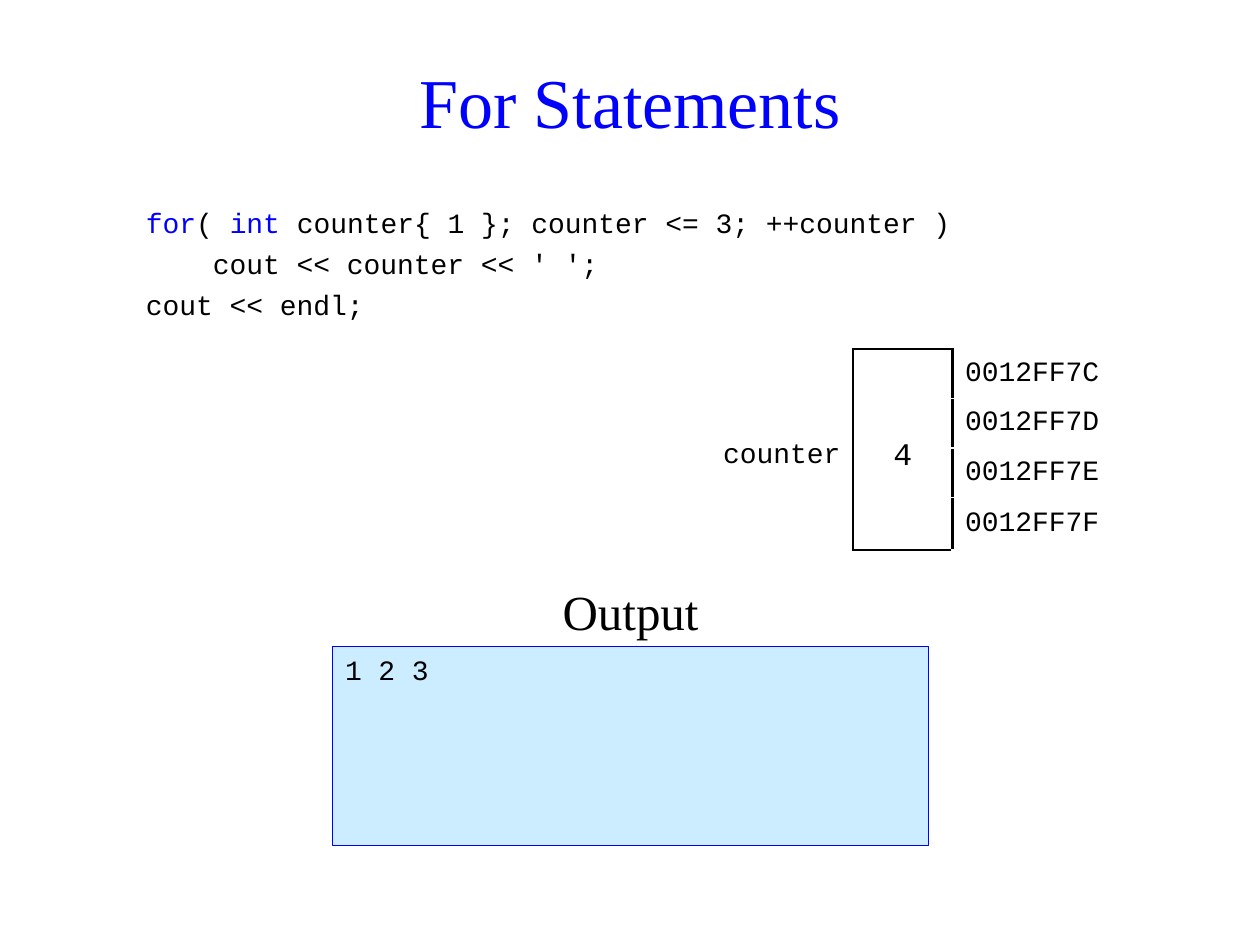
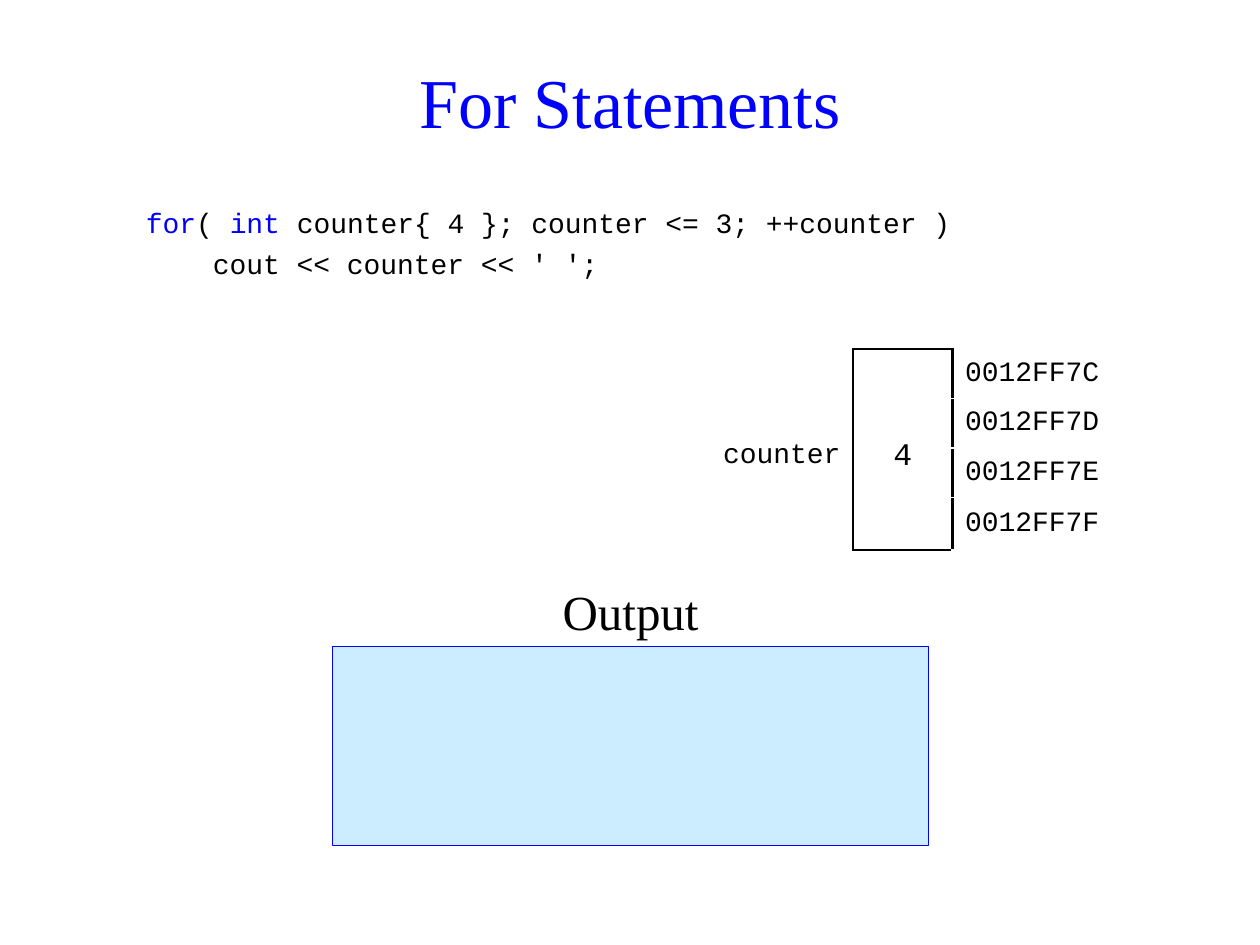
from collections import namedtuple
from dataclasses import dataclass

from lxml import etree
from pptx import Presentation
from pptx import util as u
from pptx.dml.color import RGBColor
from pptx.enum import shapes, text
from pptx.oxml import ns

Box = namedtuple("Box", "left top width height")


@dataclass(frozen=True)
class Theme:
    blue: RGBColor = RGBColor.from_string("0000FF")
    black: RGBColor = RGBColor.from_string("000000")
    pale: RGBColor = RGBColor.from_string("CCECFF")
    serif: str = "Times New Roman"
    mono: str = "Courier New"
    title_size: int = 40
    heading_size: int = 28
    value_size: int = 18
    code_size: int = 16
    code_gap: float = 4.4
    thin: float = 0.75
    thick: float = 1.5


THEME = Theme()
TITLE_BOX = Box(1.06, 0.4, 7.88, 0.79)
CODE_BOX = Box(1.06, 1.58, 6.69, 1.18)
MEMORY_BOX = Box(5.59, 2.77, 3.35, 1.57)
OUTPUT_BOX = Box(2.64, 4.54, 4.73, 2.17)
HEADING_WIDTH, HEADING_HEIGHT = 1.57, 0.59
MEMORY_COLUMNS = (1.18, 0.79, 1.38)
ADDRESSES = ("0012FF7C", "0012FF7D", "0012FF7E", "0012FF7F")
KEYWORDS = ("for", "int")


def inches(box):
    return [u.Inches(length) for length in box]


def style_font(font, name, size, color):
    font.name = name
    font.size = u.Pt(size)
    font.color.rgb = color


def add_label(slide, box, words, size, color, anchor, wrap):
    frame = slide.shapes.add_textbox(*inches(box)).text_frame
    frame.word_wrap = wrap
    frame.vertical_anchor = anchor
    frame.text = words
    line = frame.paragraphs[0]
    line.alignment = text.PP_ALIGN.CENTER
    style_font(line.runs[0].font, THEME.serif, size, color)


def add_title(slide, box, words):
    add_label(slide, box, words, THEME.title_size, THEME.blue,
              text.MSO_ANCHOR.MIDDLE, True)


def add_code(slide, box, lines):
    frame = slide.shapes.add_textbox(*inches(box)).text_frame
    frame.word_wrap = True
    for index, pieces in enumerate(lines):
        line = frame.add_paragraph() if index else frame.paragraphs[0]
        if index:
            line.space_before = u.Pt(THEME.code_gap)
        for piece in pieces:
            run = line.add_run()
            run.text = piece
            color = THEME.blue if piece in KEYWORDS else THEME.black
            style_font(run.font, THEME.mono, THEME.code_size, color)


def set_borders(cell, edges):
    properties = cell._tc.get_or_add_tcPr()
    for edge in edges:
        border = etree.SubElement(properties, ns.qn(f"a:ln{edge}"),
                                  w=str(u.Pt(THEME.thick)))
        fill = etree.SubElement(border, ns.qn("a:solidFill"))
        etree.SubElement(fill, ns.qn("a:srgbClr"), val=str(THEME.black))


def write_cell(cell, words, size, alignment, spacing, inset):
    cell.vertical_anchor = text.MSO_ANCHOR.MIDDLE
    cell.margin_top = cell.margin_bottom = u.Inches(inset)
    cell.text = words
    line = cell.text_frame.paragraphs[0]
    line.alignment = alignment
    line.line_spacing = spacing
    style_font(line.runs[0].font, THEME.mono, size, THEME.black)


def add_memory(slide, box, variable, value):
    count = len(ADDRESSES)
    table = slide.shapes.add_table(count, len(MEMORY_COLUMNS), *inches(box)).table
    table.first_row = table.horz_banding = False
    for column, width in zip(table.columns, MEMORY_COLUMNS):
        column.width = u.Inches(width)
    for index, address in enumerate(ADDRESSES):
        table.rows[index].height = u.Inches(box.height / count)
        name_cell, value_cell, address_cell = table.rows[index].cells
        set_borders(name_cell, "R")
        set_borders(value_cell, {0: "LRTB", count - 1: "LRB"}.get(index, "LR"))
        set_borders(address_cell, "L")
        for cell in (name_cell, value_cell, address_cell):
            cell.fill.background()
        write_cell(address_cell, address, THEME.code_size,
                   text.PP_ALIGN.LEFT, 1.0, 0.04)
    for column in (0, 1):
        table.cell(0, column).merge(table.cell(count - 1, column))
    write_cell(table.cell(0, 0), variable, THEME.code_size,
               text.PP_ALIGN.RIGHT, 1.4, 0)
    write_cell(table.cell(0, 1), value, THEME.value_size,
               text.PP_ALIGN.CENTER, 1.4, 0)


def add_output(slide, box, printed):
    heading_left = box.left + (box.width - HEADING_WIDTH) / 2
    screen_box = Box(box.left, box.top + HEADING_HEIGHT,
                     box.width, box.height - HEADING_HEIGHT)
    screen = slide.shapes.add_shape(shapes.MSO_SHAPE.RECTANGLE, *inches(screen_box))
    screen.shadow.inherit = False
    screen.fill.solid()
    screen.fill.fore_color.rgb = THEME.pale
    screen.line.color.rgb = THEME.blue
    screen.line.width = u.Pt(THEME.thin)
    if printed:
        frame = screen.text_frame
        frame.vertical_anchor = text.MSO_ANCHOR.TOP
        frame.text = printed
        line = frame.paragraphs[0]
        line.alignment = text.PP_ALIGN.LEFT
        style_font(line.runs[0].font, THEME.mono, THEME.code_size, THEME.black)
    add_label(slide, Box(heading_left, box.top, HEADING_WIDTH, HEADING_HEIGHT),
              "Output", THEME.heading_size, THEME.black,
              text.MSO_ANCHOR.BOTTOM, False)


def loop_lines(start):
    return [
        ("for", "( ", "int", f" counter{{ {start} }}; counter <= 3; ++counter )"),
        ("    cout << counter << ' ';",),
    ]


def add_loop_slide(deck, code, printed):
    slide = deck.slides.add_slide(deck.slide_layouts[6])
    add_title(slide, TITLE_BOX, "For Statements")
    add_code(slide, CODE_BOX, code)
    add_memory(slide, MEMORY_BOX, "counter", "4")
    add_output(slide, OUTPUT_BOX, printed)


def main():
    deck = Presentation()
    deck.slide_width, deck.slide_height = u.Inches(10), u.Inches(7.5)
    add_loop_slide(deck, loop_lines(1) + [("cout << endl;",)], "1 2 3")
    add_loop_slide(deck, loop_lines(4), "")
    deck.save("out.pptx")


if __name__ == "__main__":
    main()
